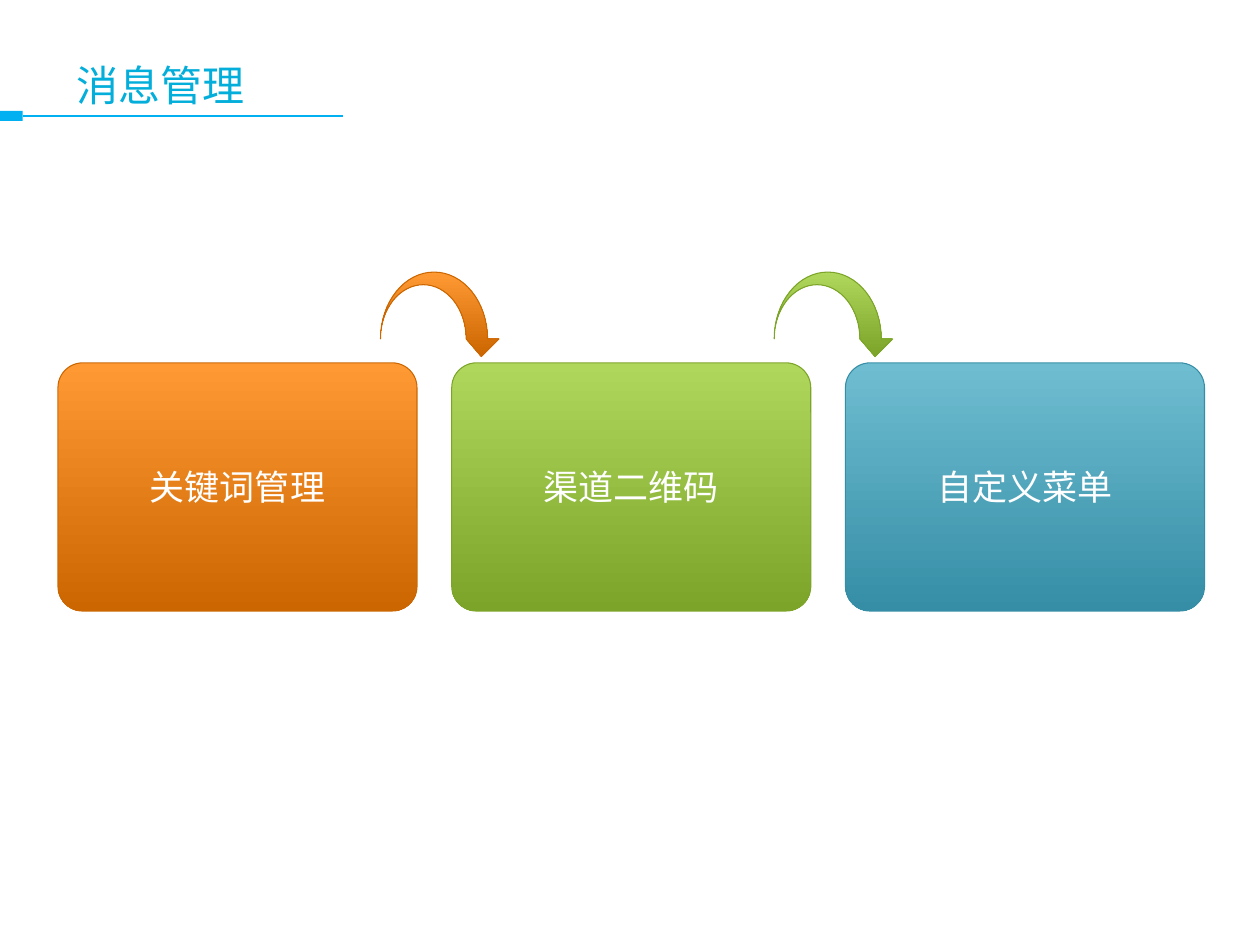
"""Build the message management slide: three linked cards."""
from math import cos, pi, sin
from lxml import etree
from pptx import Presentation
from pptx.dml.color import RGBColor
from pptx.enum.shapes import MSO_CONNECTOR, MSO_SHAPE
from pptx.enum.text import MSO_ANCHOR, MSO_AUTO_SIZE, PP_ALIGN
from pptx.oxml.ns import qn
from pptx.util import Inches, Pt

LINE = MSO_CONNECTOR.STRAIGHT
RECT, ROUND = MSO_SHAPE.RECTANGLE, MSO_SHAPE.ROUNDED_RECTANGLE
MIDDLE, FIXED = MSO_ANCHOR.MIDDLE, MSO_AUTO_SIZE.NONE
LEFT, CENTER = PP_ALIGN.LEFT, PP_ALIGN.CENTER

TITLE = "消息管理"
CARDS = [
    ("关键词管理", "FF9933", "CC6600"),
    ("渠道二维码", "AED75B", "7BA428"),
    ("自定义菜单", "6FBDD1", "358EA6"),
]
FONT = "Noto Sans CJK SC"
ACCENT, INK, WHITE = "00B0F0", "04AEDA", "FFFFFF"
WIDE, HIGH = 10, 7.5
CARD_X, CARD_Y, CARD_W, CARD_H = 0.46, 2.88, 2.85, 1.97
STEP = 3.125
ARROW_X, ARROW_Y = 3.02, 2.69
RULE_Y = 0.92
ARC = 32


def color(code):
    return RGBColor.from_string(code)


def write(frame, text, size, code, align):
    frame.word_wrap = True
    frame.auto_size = FIXED
    frame.vertical_anchor = MIDDLE
    para = frame.paragraphs[0]
    para.alignment = align
    run = para.add_run()
    run.text = text
    font = run.font
    font.name, font.size = FONT, Pt(size)
    font.color.rgb = color(code)
    east = etree.SubElement(font._element, qn("a:ea"))
    east.set("typeface", FONT)


def shade(shape, top, base):
    shape.shadow.inherit = False
    fill = shape.fill
    fill.gradient()
    fill.gradient_angle = 270
    for stop, code in zip(fill.gradient_stops, (top, base)):
        stop.color.rgb = color(code)
    for stop, place in zip(fill.gradient_stops, (0, 1)):
        stop.position = place
    shape.line.color.rgb = color(base)
    shape.line.width = Pt(0.6)


def arch(left, wide, high):
    return [(left + wide / 2 * (1 - cos(pi * i / ARC)),
             ARROW_Y - high * sin(pi * i / ARC)) for i in range(ARC + 1)]


def arrow(left, top, base):
    outer = arch(left, 0.85, 0.53)
    inner = arch(left, 0.68, 0.43)
    head = [(left + 0.94, ARROW_Y), (left + 0.8, ARROW_Y + 0.14)]
    dots = [(Inches(x), Inches(y)) for x, y in outer + head + inner[::-1]]
    form = slide.shapes.build_freeform(*dots[0], scale=1)
    form.add_line_segments(dots[1:], close=True)
    shade(form.convert_to_shape(), top, base)


def card(left, text, top, base):
    box = slide.shapes.add_shape(
        ROUND, *map(Inches, (left, CARD_Y, CARD_W, CARD_H)))
    box.adjustments[0] = 0.1
    shade(box, top, base)
    frame = box.text_frame
    frame.margin_left = frame.margin_right = Inches(0.04)
    frame.margin_top = frame.margin_bottom = Inches(0.02)
    write(frame, text, 20, WHITE, CENTER)


deck = Presentation()
deck.slide_width, deck.slide_height = Inches(WIDE), Inches(HIGH)
slide = deck.slides.add_slide(deck.slide_layouts[5])

rule = slide.shapes.add_connector(
    LINE, *map(Inches, (2.72, RULE_Y, 0.18, RULE_Y)))
rule.line.color.rgb = color(ACCENT)
rule.line.width = Pt(0.75)
etree.SubElement(rule._element.spPr, qn("a:effectLst"))

tab = slide.shapes.add_shape(
    RECT, *map(Inches, (0, RULE_Y - 0.04, 0.18, 0.08)))
tab.shadow.inherit = False
tab.fill.solid()
tab.fill.fore_color.rgb = color(ACCENT)
tab.line.fill.background()

title = slide.shapes.title
title.left, title.top, title.width, title.height = map(
    Inches, (0.51, 0.43, 9, 0.49))
write(title.text_frame, TITLE, 24, INK, LEFT)

for i, (text, top, base) in enumerate(CARDS):
    card(CARD_X + i * STEP, text, top, base)
    if i < len(CARDS) - 1:
        arrow(ARROW_X + i * STEP, top, base)

deck.save("out.pptx")
